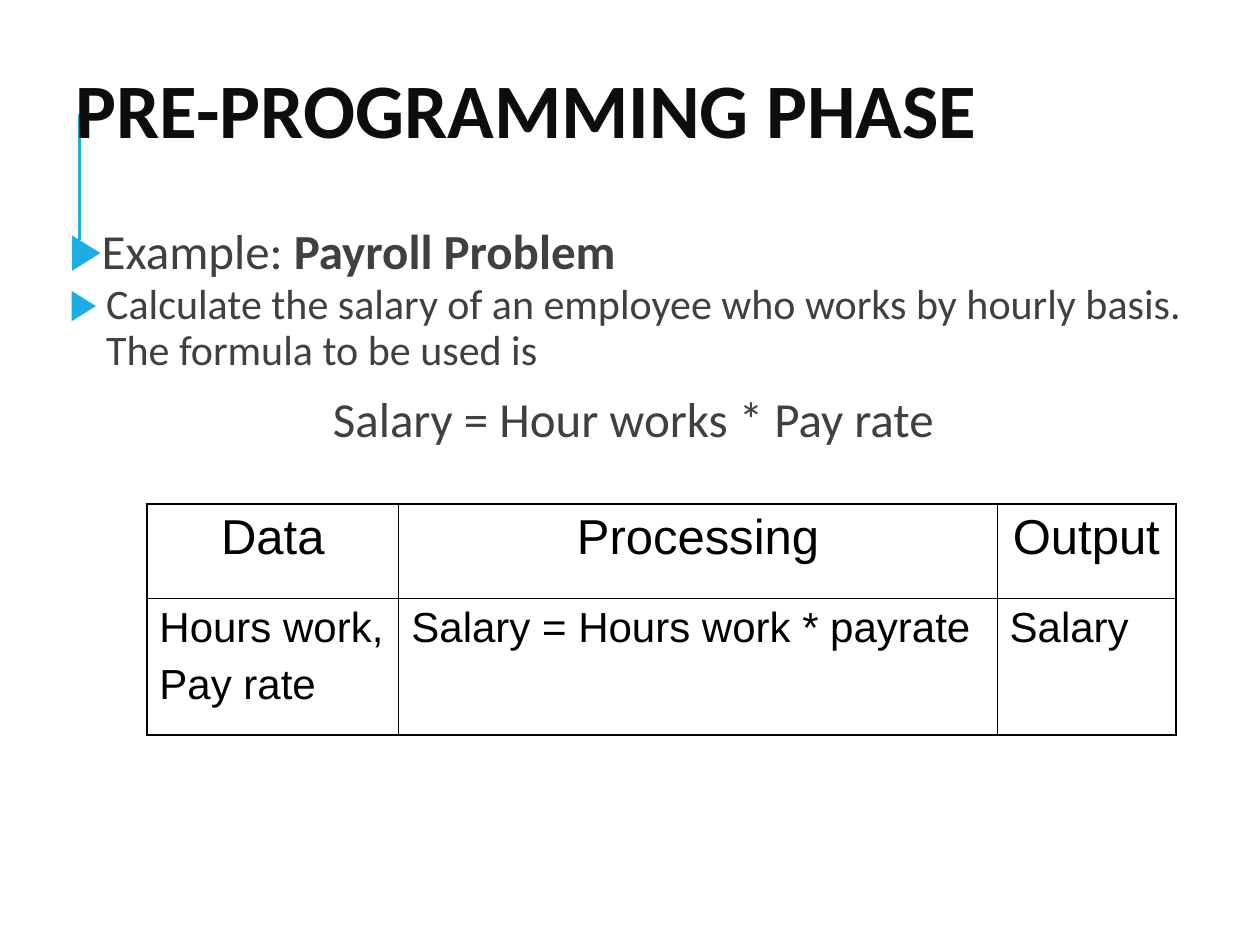
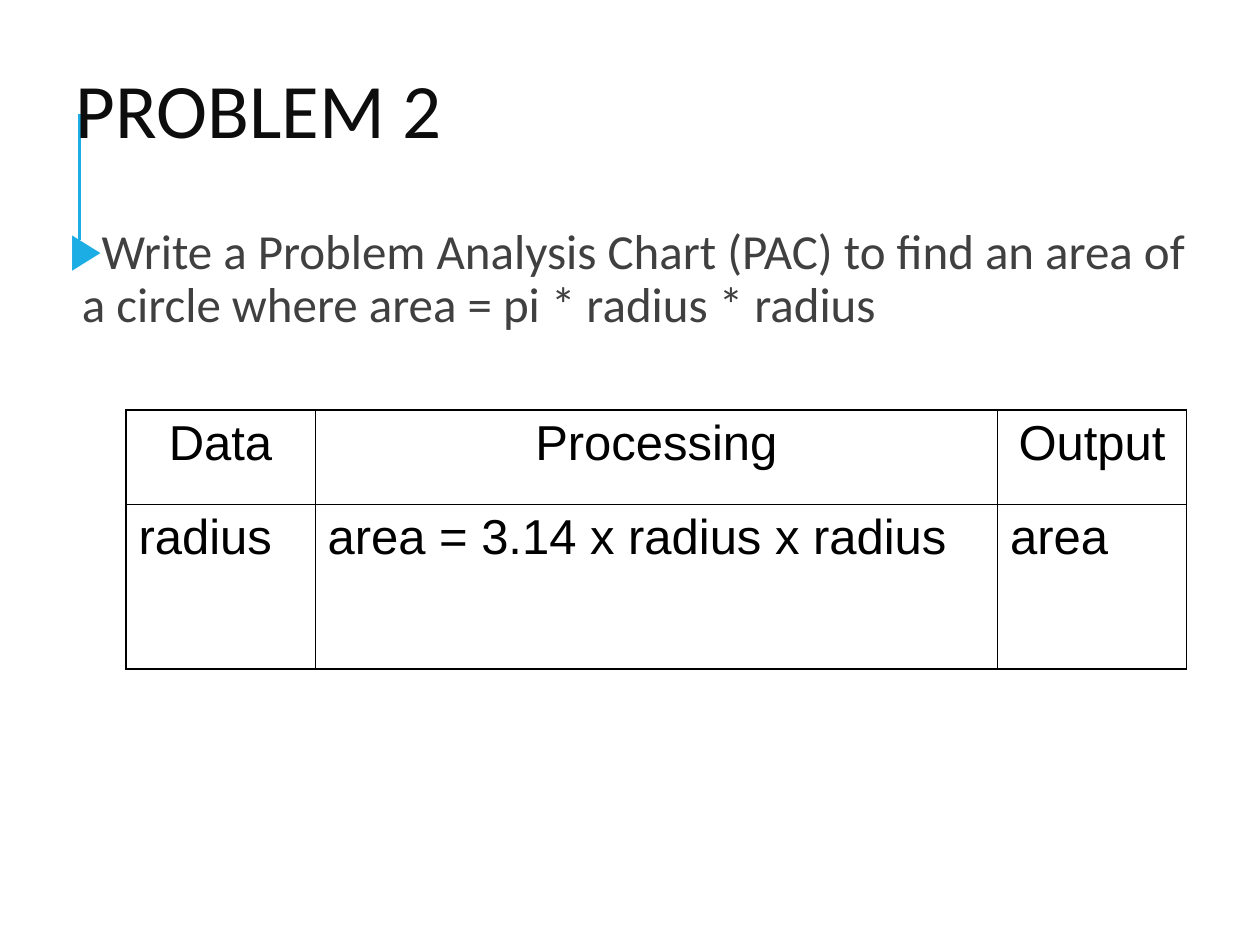
from lxml import etree
from pptx import Presentation
from pptx import util as u
from pptx.dml.color import RGBColor
from pptx.enum import shapes, text
from pptx.oxml import ns

Cm, Pt = u.Cm, u.Pt
HUES = {"title": "0D0D0D", "body": "404040", "accent": "1CADE4", "grid": "000000"}
THICK, THIN = 1.08, 0.45

# Body items: runs as (words, bold), size, left indent, hanging, space before
# Tables: place, column widths, row heights, cell rows, lower text size, gap
PAGES = [
    {"title": "PRE-PROGRAMMING PHASE", "bold": True, "size": (22.86, 4.88),
     "items": [
         ([("Example: ", False), ("Payroll Problem", True)], 28, 0.25, 0.25, 0),
         ([("Calculate the salary of an employee who works by hourly basis. "
            "The formula to be used is", False)], 24, 0.74, 0.74, 2),
         ([("Salary = Hour works * Pay rate", False)], 28, 5.31, 0, 12)],
     "at": (2.96, 10.16), "cols": (5.08, 12.06, 3.6), "rows": (1.9, 2.75),
     "cells": ("Hours work,\nPay rate", "Salary = Hours work * payrate", "Salary"),
     "low": 24, "gap": 6},
    {"title": "PROBLEM 2", "bold": False, "size": (23.28, 3.18),
     "items": [
         ([("Write a Problem Analysis Chart (PAC) to find an area of a circle "
            "where area = pi * radius * radius", False)], 28, 0.25, 0.25, 0)],
     "at": (2.54, 8.26), "cols": (3.81, 13.76, 3.81), "rows": (1.9, 3.33),
     "cells": ("radius", "area = 3.14 x radius x radius", "area"),
     "low": 28, "gap": 7},
]
HEADS = ("Data", "Processing", "Output")


def style(para, face, size, hue, bold=False):
    font = para.font
    font.name, font.size, font.bold = face, Pt(size), bold
    font.color.rgb = RGBColor.from_string(HUES[hue])


def add(parent, tag, **attrs):
    return etree.SubElement(parent, ns.qn("a:" + tag), **attrs)


deck = Presentation()
deck.slide_width, deck.slide_height = Cm(25.4), Cm(19.05)

for page in PAGES:
    slide = deck.slides.add_slide(deck.slide_layouts[1])
    title, body = slide.placeholders

    # Accent line behind the title
    line = slide.shapes.add_connector(
        shapes.MSO_CONNECTOR.STRAIGHT, Cm(1.6), Cm(4.83), Cm(1.6), Cm(2.29))
    line.line.color.rgb = RGBColor.from_string(HUES["accent"])
    line.line.width = Pt(1.5)
    add(line.element.spPr, "effectLst")
    title.element.addprevious(line.element)

    # Title
    title.left, title.top, title.width, title.height = (
        Cm(1.27), Cm(0.76), Cm(22.86), Cm(3.18))
    frame = title.text_frame
    frame.text = page["title"]
    frame.auto_size = text.MSO_AUTO_SIZE.NONE
    frame.vertical_anchor = text.MSO_ANCHOR.MIDDLE
    para = frame.paragraphs[0]
    para.alignment, para.line_spacing = text.PP_ALIGN.LEFT, 0.8
    style(para, "Calibri", 44, "title", page["bold"])

    # Body list
    body.left, body.top = Cm(1.27), Cm(4.45)
    body.width, body.height = map(Cm, page["size"])
    frame = body.text_frame
    frame.auto_size = text.MSO_AUTO_SIZE.NONE
    frame.margin_left = frame.margin_right = Cm(0.13)
    frame.margin_top = frame.margin_bottom = Cm(0.13)
    for i, (runs, size, left, hang, gap) in enumerate(page["items"]):
        para = frame.add_paragraph() if i else frame.paragraphs[0]
        para.level = 1 if size == 24 else 0
        props = para._p.get_or_add_pPr()
        props.set("marL", str(Cm(left)))
        props.set("indent", str(-Cm(hang)))
        if hang:
            add(add(props, "buClr"), "srgbClr", val=HUES["accent"])
            add(props, "buChar", char="▶")
        else:
            add(props, "buNone")
        para.line_spacing, para.space_before = 0.9, Pt(gap)
        style(para, "Calibri", size, "body")
        for words, bold in runs:
            run = para.add_run()
            run.text = words
            if bold:
                run.font.bold = True

    # Analysis chart
    cols, rows = page["cols"], page["rows"]
    grid = slide.shapes.add_table(
        2, 3, *map(Cm, page["at"]), Cm(sum(cols)), Cm(sum(rows))).table
    grid.first_row = grid.horz_banding = False
    for col, width in zip(grid.columns, cols):
        col.width = Cm(width)
    for row, height in zip(grid.rows, rows):
        row.height = Cm(height)
    for r, words in enumerate((HEADS, page["cells"])):
        for c, word in enumerate(words):
            cell = grid.cell(r, c)
            cell.text = word
            for i, para in enumerate(cell.text_frame.paragraphs):
                para.alignment = text.PP_ALIGN.LEFT if r else text.PP_ALIGN.CENTER
                para.space_before = Pt(page["gap"] if i else 0)
                style(para, "Arial", page["low"] if r else 28, "grid")

            # Thick outer edges, thin inner ones
            props = cell._tc.get_or_add_tcPr()
            edges = {"lnL": c == 0, "lnR": c == 2, "lnT": r == 0, "lnB": r == 1}
            for tag, outer in edges.items():
                edge = add(props, tag, w=str(Pt(THICK if outer else THIN)))
                add(add(edge, "solidFill"), "srgbClr", val=HUES["grid"])
            cell.fill.background()

deck.save("out.pptx")
